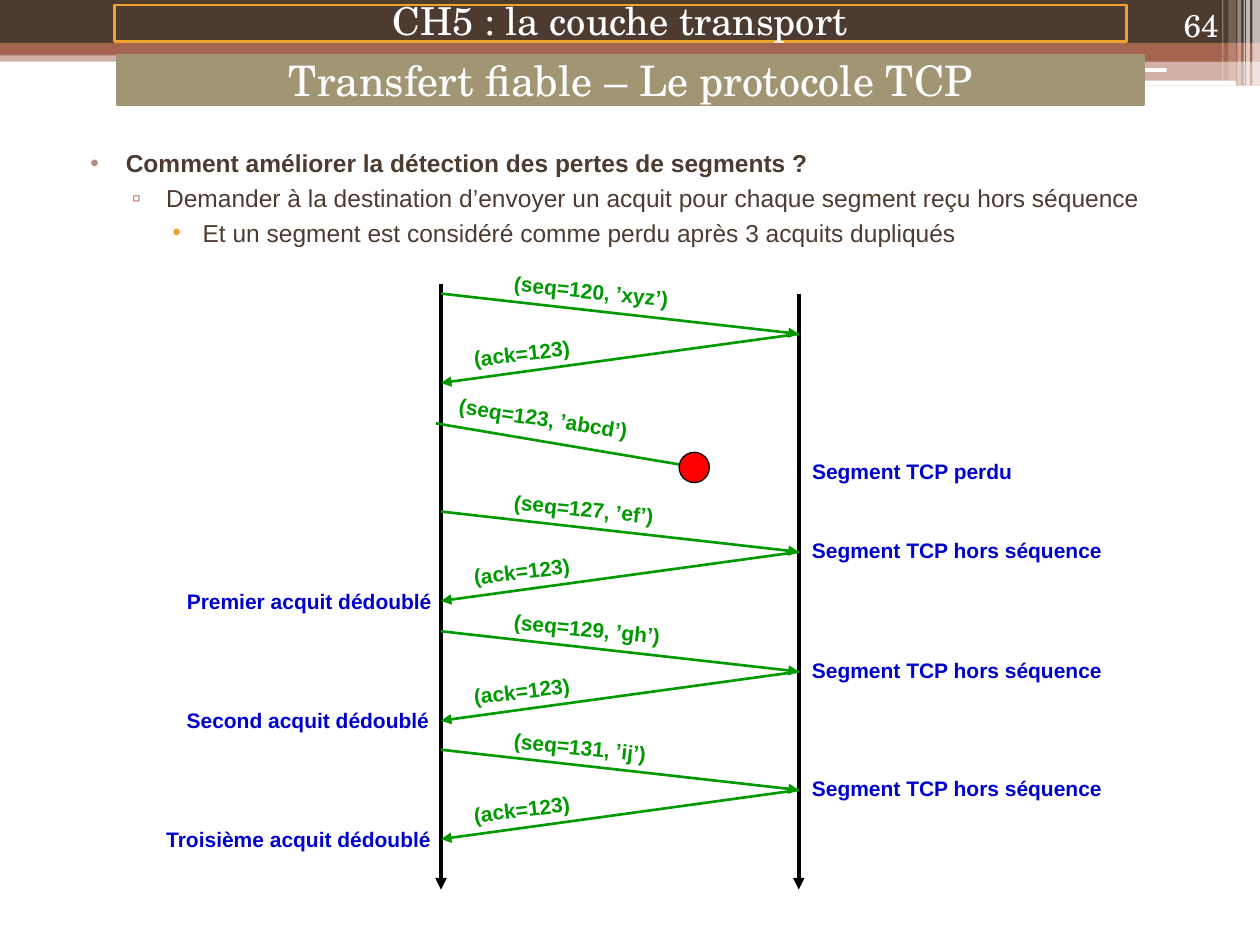
"""Builds a slide on duplicate acknowledgements in TCP."""
from lxml import etree
from pptx import Presentation
from pptx.dml.color import RGBColor
from pptx.enum import shapes, text
from pptx.oxml.ns import qn
from pptx.util import Inches, Pt

SERIF, SANS = "TeX Gyre Schola", "Arial"
WHITE, BROWN, RUST, ORANGE, OLIVE = "FFFFFF", "4E3B30", "A5644E", "F0A22E", "A19574"
GREEN, BLUE, BLACK, RED = "009900", "0000CC", "000000", "FF0000"
RECT, ROUND, OVAL = (shapes.MSO_SHAPE.RECTANGLE, shapes.MSO_SHAPE.ROUNDED_RECTANGLE,
                     shapes.MSO_SHAPE.OVAL)
ALIGN, ANCHOR = text.PP_ALIGN, text.MSO_ANCHOR

BANDS = [
    (RECT, 0, 0.4, 10, 0.09, RUST, 50),
    (RECT, 0, 0, 10, 0.34, BROWN, 100),
    (RECT, 0, 0.34, 10, 0.1, RUST, 100),
    (RECT, 5.92, 0.39, 4.08, 0.1, RUST, 100),
    (RECT, 5.92, 0.48, 4.08, 0.2, RUST, 50),
    (ROUND, 5.91, 0.54, 3.35, 0.03, WHITE, 100),
    (ROUND, 8.06, 0.64, 1.75, 0.04, WHITE, 100),
]
STRIPES = [(9.94, 0.06, 0.68, 65), (9.89, 0.03, 0.68, 65), (9.87, 0.01, 0.68, 60),
           (9.82, 0.03, 0.68, 40), (9.75, 0.06, 0.64, 20), (9.7, 0.01, 0.64, 30)]
BULLETS = [
    ("Comment améliorer la détection des pertes de segments ?", 0.4, -0.28, "•", "B58B80"),
    ("Demander à la destination d’envoyer un acquit pour chaque segment reçu hors séquence",
     0.72, -0.27, "▫", RUST),
    ("Et un segment est considéré comme perdu après 3 acquits dupliqués",
     1.01, -0.24, "•", ORANGE),
]
LATE = "Segment TCP hors séquence"
EXCHANGES = [
    (2.33, "(seq=120, ’xyz’)", 1.43, None, 0, 0),
    (4.06, "(seq=127, ’ef’)", 1.32, "Premier acquit dédoublé", 1.38, 2.15),
    (5.01, "(seq=129, ’gh’)", 1.36, "Second acquit dédoublé", 1.38, 2.13),
    (5.95, "(seq=131, ’ij’)", 1.25, "Troisième acquit dédoublé", 1.21, 2.32),
]
SENDER, RECEIVER, END = 3.5, 6.34, 7.06

prs = Presentation()
prs.slide_width, prs.slide_height = Inches(10), Inches(7.5)
s = prs.slides.add_slide(prs.slide_layouts[6])


def rgb(color):
    return RGBColor.from_string(color)


def box(kind, x, y, w, h, fill=None, alpha=100, line=None, width=1.5):
    sp = s.shapes.add_shape(kind, *map(Inches, (x, y, w, h)))
    sp.shadow.inherit = False
    if fill:
        sp.fill.solid()
        sp.fill.fore_color.rgb = rgb(fill)
        if alpha < 100:
            clr = sp._element.spPr.find(qn("a:solidFill"))[0]
            etree.SubElement(clr, qn("a:alpha"), val=str(alpha * 1000))
    else:
        sp.fill.background()
    if line:
        sp.line.color.rgb, sp.line.width = rgb(line), Pt(width)
    else:
        sp.line.fill.background()
    return sp


def arrow(x1, y1, x2, y2, color=GREEN, width=1.5):
    c = s.shapes.add_connector(shapes.MSO_CONNECTOR.STRAIGHT, *map(Inches, (x1, y1, x2, y2)))
    c.line.color.rgb, c.line.width = rgb(color), Pt(width)
    etree.SubElement(c.line._get_or_add_ln(), qn("a:tailEnd"), type="triangle")
    etree.SubElement(c._element.spPr, qn("a:effectLst"))


def write(p, words, size=12, font=SANS, color=GREEN, bold=False, align=ALIGN.LEFT):
    p.alignment = align
    r = p.add_run()
    r.text = words
    r.font.size, r.font.name, r.font.bold = Pt(size), font, bold
    r.font.color.rgb = rgb(color)


def textbox(x, y, w, h, anchor=ANCHOR.TOP, wrap=False, rotation=0):
    sp = s.shapes.add_textbox(*map(Inches, (x, y, w, h)))
    sp.rotation = rotation
    tf = sp.text_frame
    tf.word_wrap, tf.vertical_anchor = wrap, anchor
    return tf


def label(words, x, y, w, rotation=0, **fmt):
    tf = textbox(x, y, w, 0.3, rotation=rotation)
    tf.auto_size = text.MSO_AUTO_SIZE.SHAPE_TO_FIT_TEXT
    write(tf.paragraphs[0], words, bold=True, **fmt)


def note(words, x, y, w):
    label(words, x, y, w, color=BLUE, align=ALIGN.CENTER)


def banner(sp, words, size, spacing=1.0):
    sp.text_frame.vertical_anchor = ANCHOR.MIDDLE
    p = sp.text_frame.paragraphs[0]
    p.line_spacing = spacing
    write(p, words, size, SERIF, WHITE, align=ALIGN.CENTER)


def bullet(p, level, words, margin, indent, char, color):
    p.level = level
    pPr = p._p.get_or_add_pPr()
    pPr.set("marL", str(Inches(margin)))
    pPr.set("indent", str(Inches(indent)))
    clr = etree.SubElement(pPr, qn("a:buClr"))
    etree.SubElement(clr, qn("a:srgbClr"), val=color)
    etree.SubElement(pPr, qn("a:buFont"), typeface=SANS)
    etree.SubElement(pPr, qn("a:buChar"), char=char)
    if level:
        p.space_before = Pt(3)
    else:
        p.line_spacing = 0.9
    write(p, words, 14, color=BROWN, bold=level == 0)


for kind, x, y, w, h, fill, alpha in BANDS:
    box(kind, x, y, w, h, fill, alpha)
for x, w, h, alpha in STRIPES:
    box(RECT, x, 0, w, h, WHITE, alpha)

body = textbox(0.5, 0.91, 9, 1.34, ANCHOR.MIDDLE, True)
for i, item in enumerate(BULLETS):
    bullet(body.add_paragraph() if i else body.paragraphs[0], i, *item)

arrow(SENDER, 2.25, SENDER, END, BLACK, 2.25)
arrow(RECEIVER, 2.33, RECEIVER, END, BLACK, 2.25)

arrow(3.46, 3.36, 5.59, 3.72)
label("(seq=123, ’abcd’)", 3.54, 3.17, 1.55, 8.5)
box(OVAL, 5.39, 3.59, 0.24, 0.24, RED, line=BLACK, width=0.75)
note("Segment TCP perdu", RECEIVER, 3.59, 1.8)

for y, seq, seq_w, ack_note, note_x, note_w in EXCHANGES:
    arrow(SENDER, y, RECEIVER, y + 0.32)
    label(seq, 3.98, y - 0.17, seq_w, 5.9)
    arrow(RECEIVER, y + 0.32, SENDER, y + 0.71)
    label("(ack=123)", 3.66, y + 0.32, 1, 353.3)
    if ack_note:
        note(ack_note, note_x, y + 0.56, note_w)
        note(LATE, RECEIVER, y + 0.16, 2.51)

title = box(ROUND, 0.93, 0.44, 8.15, 0.39, OLIVE, line=OLIVE)
title.adjustments[0] = 0
banner(title, "Transfert fiable – Le protocole TCP", 24)
banner(box(RECT, 0.91, 0.04, 8.03, 0.29, line=ORANGE), "CH5 : la couche transport", 22, 0.9)
write(textbox(8.94, 0, 0.83, 0.4, ANCHOR.BOTTOM, True).paragraphs[0],
      "64", 18, SERIF, WHITE, align=ALIGN.RIGHT)

prs.save("out.pptx")
